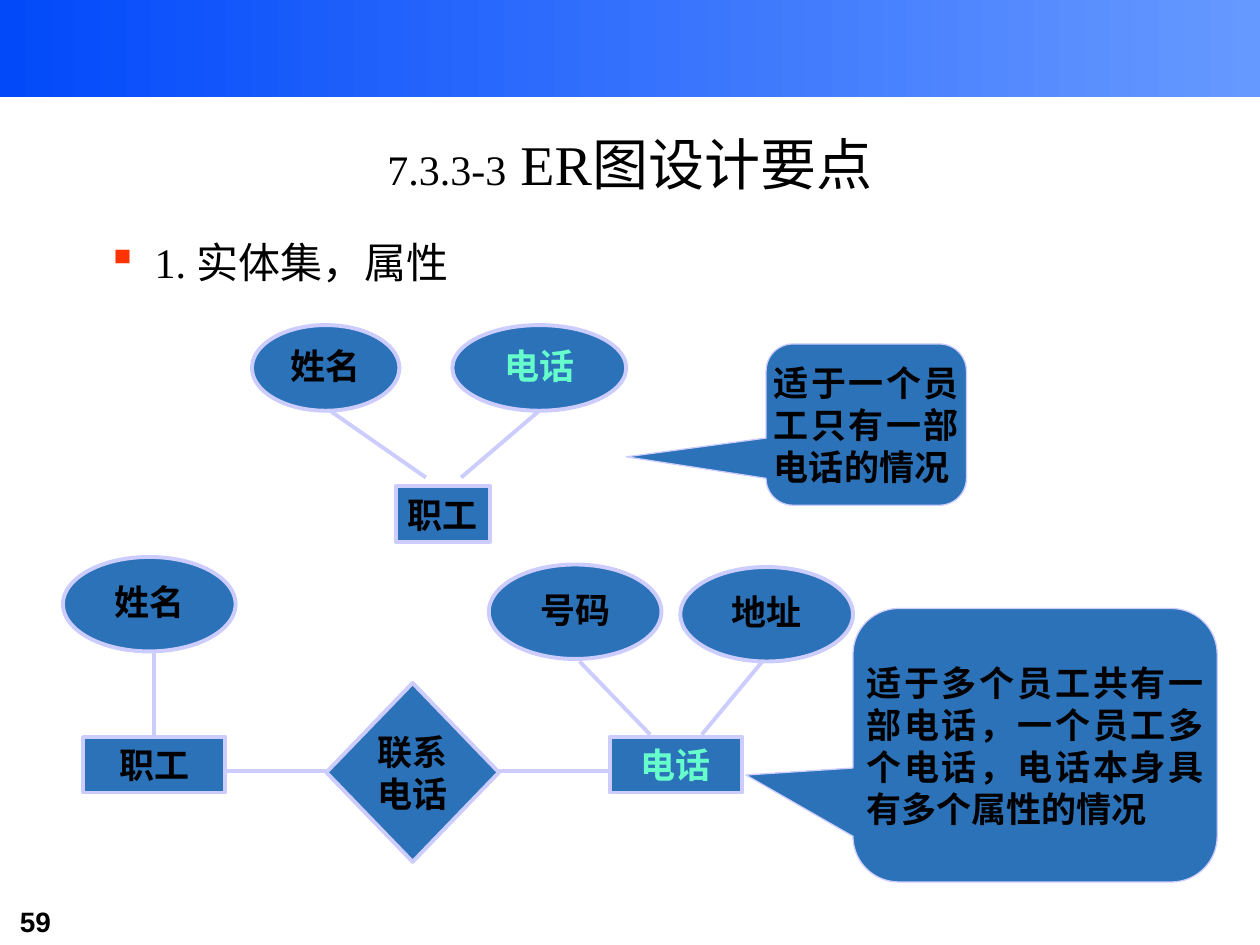
from lxml import etree
from pptx import Presentation
from pptx.dml.color import RGBColor
from pptx.enum.shapes import MSO_CONNECTOR, MSO_SHAPE
from pptx.enum.text import MSO_ANCHOR, PP_ALIGN
from pptx.oxml.ns import qn
from pptx.util import Inches, Pt

BLACK, MINT = "000000", "66FFCC"
BLUE, PALE = "2C72B8", "CCCCFF"
SERIF = "Times New Roman"


def color(code):
    return RGBColor.from_string(code)


def add_run(para, text, size, shade=BLACK, bold=False, face=SERIF):
    run = para.add_run()
    run.text = text
    font = run.font
    font.name, font.size, font.bold = face, Pt(size), bold
    font.color.rgb = color(shade)


def add_text(slide, left, top, width, height):
    box = slide.shapes.add_textbox(*map(Inches, (left, top, width, height)))
    box.text_frame.word_wrap = True
    return box.text_frame


def add_node(slide, kind, box, lines, shade=BLACK, edge=2.25,
             align=PP_ALIGN.CENTER, wrap=False, inset=(0.1, 0.05), pitch=None):
    """Add a filled shape with one bold paragraph for each line."""
    node = slide.shapes.add_shape(kind, *map(Inches, box))
    node.shadow.inherit = False
    node.fill.solid()
    node.fill.fore_color.rgb = color(BLUE)
    node.line.color.rgb = color(PALE)
    node.line.width = Pt(edge)
    frame = node.text_frame
    frame.word_wrap = wrap
    frame.vertical_anchor = MSO_ANCHOR.MIDDLE
    frame.margin_left = frame.margin_right = Inches(inset[0])
    frame.margin_top = frame.margin_bottom = Inches(inset[1])
    for i, line in enumerate(lines):
        para = frame.add_paragraph() if i else frame.paragraphs[0]
        para.alignment = align
        para.line_spacing = pitch
        add_run(para, line, 20, shade, True)
    return node


def add_oval(slide, box, text, shade=BLACK):
    add_node(slide, MSO_SHAPE.OVAL, box, [text], shade, pitch=0.9)


def add_rect(slide, box, text, shade=BLACK):
    add_node(slide, MSO_SHAPE.RECTANGLE, box, [text], shade)


def add_note(slide, box, text, tip):
    """Add a callout whose tip is an offset from its centre, as a share of its size."""
    note = add_node(slide, MSO_SHAPE.ROUNDED_RECTANGULAR_CALLOUT, box, [text],
                    edge=0.75, align=PP_ALIGN.JUSTIFY, wrap=True, inset=(0, 0))
    for i, value in enumerate((*tip, 0.167)):
        note.adjustments[i] = value


def add_links(slide, left, top, links):
    for x1, y1, x2, y2 in links:
        ends = (left + x1, top + y1, left + x2, top + y2)
        link = slide.shapes.add_connector(MSO_CONNECTOR.STRAIGHT, *map(Inches, ends))
        link.line.color.rgb = color(PALE)
        link.line.width = Pt(2.25)
        etree.SubElement(link._element.spPr, qn("a:effectLst"))


def add_band(slide, left, top, width, height):
    band = slide.shapes.add_shape(MSO_SHAPE.RECTANGLE,
                                  *map(Inches, (left, top, width, height)))
    band.shadow.inherit = False
    band.line.fill.background()
    band.fill.gradient()
    band.fill.gradient_angle = 0
    for stop, code in zip(band.fill.gradient_stops, ("0249FA", "6699FF")):
        stop.color.rgb = color(code)


def add_title(slide, *box):
    frame = add_text(slide, *box)
    frame.vertical_anchor = MSO_ANCHOR.MIDDLE
    para = frame.paragraphs[0]
    para.alignment = PP_ALIGN.CENTER
    add_run(para, "7.3.3-3", 24)
    add_run(para, " ER图设计要点", 32)


def add_point(slide, *box):
    para = add_text(slide, *box).paragraphs[0]
    props = para._p.get_or_add_pPr()
    props.set("marL", str(Inches(0.38)))
    props.set("indent", str(-Inches(0.38)))
    tint = etree.SubElement(props, qn("a:buClr"))
    etree.SubElement(tint, qn("a:srgbClr"), val="FF3300")
    etree.SubElement(props, qn("a:buChar"), char="▪")
    add_run(para, "1. 实体集，属性", 24)


def add_number(slide, *box):
    para = add_text(slide, *box).paragraphs[0]
    add_run(para, "59", 16, bold=True, face="Arial")


def add_single(slide, left, top):
    """Draw the model in which the phone is an attribute."""
    add_rect(slide, (left + 1.14, top + 1.28, 0.75, 0.44), "职工")
    add_oval(slide, (left, top, 1.17, 0.68), "姓名")
    add_oval(slide, (left + 1.59, top, 1.38, 0.68), "电话", MINT)
    add_links(slide, left, top, [(2.28, 0.68, 1.66, 1.21), (1.38, 1.21, 0.62, 0.68)])
    add_note(slide, (left + 4.08, top + 0.15, 1.59, 1.28),
             "适于一个员工只有一部电话的情况", (-1.197, 0.2))


def add_shared(slide, left, top):
    """Draw the model in which the phone is an entity of its own."""
    add_rect(slide, (left + 0.16, top + 1.43, 1.13, 0.44), "职工")
    add_rect(slide, (left + 4.34, top + 1.43, 1.05, 0.44), "电话", MINT)
    add_node(slide, MSO_SHAPE.DIAMOND, (left + 2.09, top + 1, 1.37, 1.42),
             ["联系", "电话"])
    for x, y, text in ((0, 0, "姓名"), (3.38, 0.06, "号码"), (4.9, 0.08, "地址")):
        add_oval(slide, (left + x, top + y, 1.37, 0.75), text)
    add_links(slide, left, top, [
        (1.29, 1.7, 2.09, 1.7), (3.46, 1.7, 4.34, 1.7),
        (0.72, 1.41, 0.72, 0.75), (4.66, 1.41, 4.1, 0.83), (5.07, 1.41, 5.55, 0.83)])
    add_note(slide, (left + 6.27, top + 0.41, 2.89, 2.17),
             "适于多个员工共有一部电话，一个员工多个电话，电话本身具有多个属性的情况",
             (-0.794, 0.109))


def main():
    deck = Presentation()
    deck.slide_width, deck.slide_height = Inches(10), Inches(7.5)
    slide = deck.slides.add_slide(deck.slide_layouts[6])
    add_band(slide, 0, 0, 10, 0.77)
    add_number(slide, 0.06, 7.13, 1.22, 0.37)
    add_title(slide, 0.75, 0.82, 8.5, 0.95)
    add_point(slide, 0.75, 1.83, 8.5, 0.67)
    add_single(slide, 2, 2.58)
    add_shared(slide, 0.5, 4.42)
    deck.save("out.pptx")


if __name__ == "__main__":
    main()
